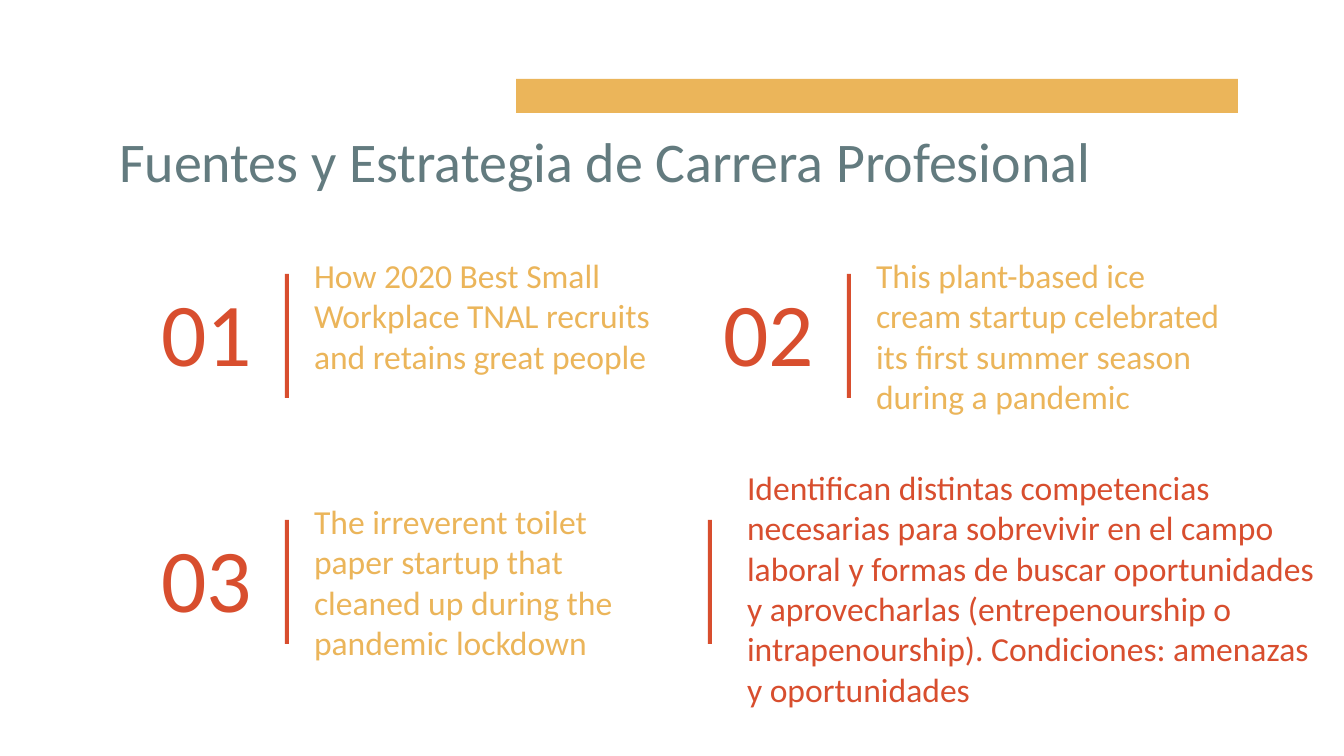
from dataclasses import dataclass

from lxml.etree import SubElement
from pptx import Presentation
from pptx.dml.color import RGBColor
from pptx.enum.shapes import MSO_SHAPE
from pptx.enum.text import MSO_ANCHOR, MSO_AUTO_SIZE, PP_ALIGN
from pptx.oxml.ns import qn
from pptx.util import Emu, Pt

EMU_PER_PX = 914400 / 134.4


def px(n):
    return Emu(round(n * EMU_PER_PX))


@dataclass(frozen=True)
class Theme:
    font: str = "Calibri"
    gold: str = "EBB55A"
    red: str = "D84E2E"
    slate: str = "637B7F"
    title: int = 30
    number: int = 48
    body: int = 18
    inset: int = 13


class SlideBuilder:
    def __init__(self, slide, theme):
        self.s = slide
        self.theme = theme

    def place(self, sp, box):
        sp.left, sp.top, sp.width, sp.height = map(px, box)

    def add_text(self, sp, text, size, color, align=PP_ALIGN.LEFT, anchor=MSO_ANCHOR.TOP):
        tf = sp.text_frame
        tf.word_wrap = True
        tf.auto_size = MSO_AUTO_SIZE.NONE
        tf.vertical_anchor = anchor
        inset = px(self.theme.inset)
        tf.margin_left = tf.margin_top = tf.margin_right = tf.margin_bottom = inset
        p = tf.paragraphs[0]
        p.alignment = align
        p.space_before = Pt(0)
        r = p.add_run()
        r.text = text
        r.font.name = self.theme.font
        r.font.size = Pt(size)
        r.font.bold = False
        r.font.color.rgb = RGBColor.from_string(color)
        return p

    def title(self, text, box):
        sp = self.s.shapes.title
        self.place(sp, box)
        self.add_text(sp, text, self.theme.title, self.theme.slate)

    def body(self, idx, text, box, color):
        sp = self.s.placeholders[idx]
        self.place(sp, box)
        p = self.add_text(sp, text, self.theme.body, color)
        p.space_after = Pt(16)
        pPr = p._p.get_or_add_pPr()
        pPr.set("marL", "0")
        pPr.set("indent", "0")
        SubElement(pPr, qn("a:buNone"))

    def number(self, text, box):
        sp = self.s.shapes.add_textbox(*map(px, box))
        self.add_text(sp, text, self.theme.number, self.theme.red,
                      PP_ALIGN.RIGHT, MSO_ANCHOR.BOTTOM)

    def bar(self, box, color):
        sp = self.s.shapes.add_shape(MSO_SHAPE.RECTANGLE, *map(px, box))
        sp.shadow.inherit = False
        sp.fill.solid()
        sp.fill.fore_color.rgb = RGBColor.from_string(color)
        sp.line.fill.background()


SOURCES = [
    "How 2020 Best Small Workplace TNAL recruits and retains great people",
    "This plant-based ice cream startup celebrated its first summer season "
    "during a pandemic",
    "The irreverent toilet paper startup that cleaned up during the pandemic lockdown",
]
SUMMARY = (
    "Identifican distintas competencias necesarias para sobrevivir en el campo "
    "laboral y formas de buscar oportunidades y aprovecharlas (entrepenourship o "
    "intrapenourship). Condiciones: amenazas y oportunidades"
)
LEFT, TOP = 129, 274
COL_STEP, ROW_STEP = 562, 246
RULE_W, RULE_H = 4, 124


def main():
    prs = Presentation()
    prs.slide_width, prs.slide_height = px(1344), px(756)
    # The Comparison layout has a title and four text placeholders (idx 1 to 4).
    s = prs.slides.add_slide(prs.slide_layouts[4])
    for sp in list(s.placeholders):
        if sp.placeholder_format.idx > 4:
            sp.element.getparent().remove(sp.element)

    theme = Theme()
    b = SlideBuilder(s, theme)
    b.bar((516, 79, 722, 34), theme.gold)
    b.title("Fuentes y Estrategia de Carrera Profesional", (106, 113, 1128, 85))

    for i, text in enumerate(SOURCES):
        row, col = divmod(i, 2)
        x, y = LEFT + col * COL_STEP, TOP + row * ROW_STEP
        b.number(f"{i + 1:02d}", (x, y, 136, RULE_H))
        b.bar((x + 156, y, RULE_W, RULE_H), theme.red)
        b.body(i + 1, text, (x + 172, y - 32, 371, 50), theme.gold)

    b.bar((708, TOP + ROW_STEP, RULE_W, RULE_H), theme.red)
    b.body(4, SUMMARY, (734, 454, 610, 254), theme.red)
    prs.save("out.pptx")


if __name__ == "__main__":
    main()
